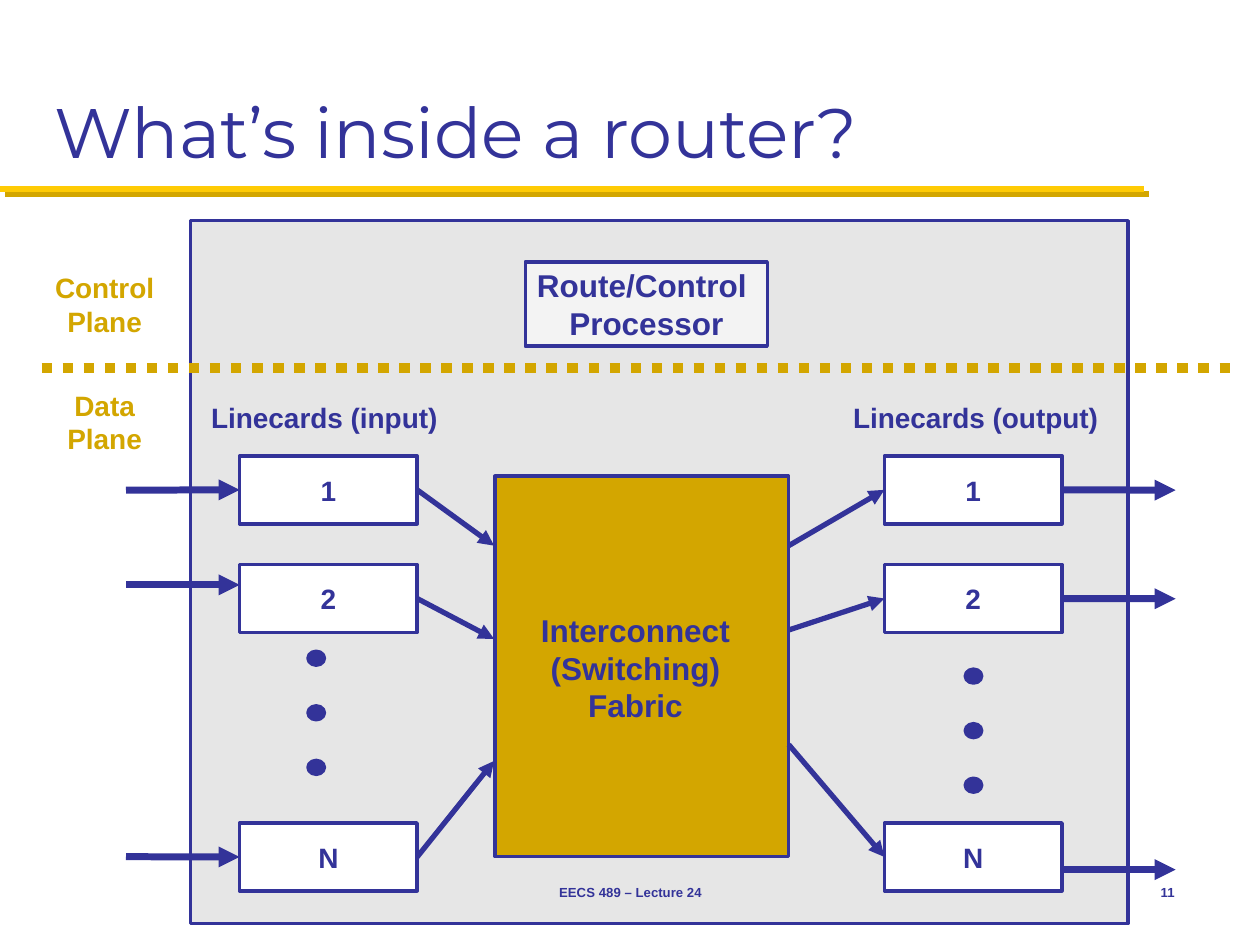
"""Build a slide that shows the parts inside a router."""
from dataclasses import dataclass
from typing import Optional

from lxml import etree
from pptx import Presentation
from pptx.dml.color import RGBColor
from pptx.enum.dml import MSO_LINE
from pptx.enum.shapes import MSO_CONNECTOR, MSO_SHAPE
from pptx.enum.text import MSO_ANCHOR, PP_ALIGN
from pptx.oxml.ns import qn
from pptx.shapes.autoshape import Shape
from pptx.slide import Slide
from pptx.util import Cm, Pt

RECT, OVAL = MSO_SHAPE.RECTANGLE, MSO_SHAPE.OVAL
STRAIGHT, DOTTED = MSO_CONNECTOR.STRAIGHT, MSO_LINE.ROUND_DOT
LEFT, CENTER, RIGHT = PP_ALIGN.LEFT, PP_ALIGN.CENTER, PP_ALIGN.RIGHT
TOP, MIDDLE, BOTTOM = MSO_ANCHOR.TOP, MSO_ANCHOR.MIDDLE, MSO_ANCHOR.BOTTOM
LEFT_SIDE, RIGHT_SIDE = 1, 3

COLORS = {
    "ink": "333399",
    "gold": "D3A600",
    "bright": "FFCB05",
    "panel": "E6E6E6",
    "pale": "F3F3F3",
    "white": "FFFFFF",
}


@dataclass
class Area:
    left: float
    top: float
    width: float
    height: float


@dataclass
class Style:
    size: float = 16
    color: str = "ink"
    font: str = "Arial"
    bold: bool = True
    align: PP_ALIGN = CENTER
    anchor: MSO_ANCHOR = MIDDLE
    wrap: bool = False


@dataclass
class Wire:
    x1: float
    y1: float
    x2: float
    y2: float
    width: float = 4
    color: str = "ink"
    arrow: bool = True
    dotted: bool = False
    shadow: bool = False
    start: Optional[Shape] = None
    end: Optional[Shape] = None


@dataclass
class Bank:
    left: float
    title: str
    title_left: float
    dot_left: float
    dot_top: float


def tint(name: str) -> RGBColor:
    """Return the named color."""
    return RGBColor.from_string(COLORS[name])


def write(shape: Shape, text: str, style: Style) -> None:
    """Fill a shape with styled text."""
    frame = shape.text_frame
    frame.text = text
    frame.word_wrap = style.wrap
    frame.vertical_anchor = style.anchor
    for line in frame.paragraphs:
        line.alignment = style.align
        line.font.size = Pt(style.size)
        line.font.name = style.font
        line.font.bold = style.bold
        line.font.color.rgb = tint(style.color)


def add_label(slide: Slide, area: Area, text: str, style: Style) -> None:
    """Add a text box."""
    box = slide.shapes.add_textbox(
        Cm(area.left), Cm(area.top), Cm(area.width), Cm(area.height))
    write(box, text, style)


def add_block(slide: Slide, area: Area, fill: str, kind: MSO_SHAPE = RECT) -> Shape:
    """Add a filled and outlined shape."""
    block = slide.shapes.add_shape(
        kind, Cm(area.left), Cm(area.top), Cm(area.width), Cm(area.height))
    block.shadow.inherit = False
    block.fill.solid()
    block.fill.fore_color.rgb = tint(fill)
    block.line.color.rgb = tint("ink")
    block.line.width = Pt(2)
    return block


def add_wire(slide: Slide, wire: Wire) -> None:
    """Add a line or arrow, joined to blocks where they are given."""
    link = slide.shapes.add_connector(
        STRAIGHT, Cm(wire.x1), Cm(wire.y1), Cm(wire.x2), Cm(wire.y2))
    link.line.color.rgb = tint(wire.color)
    link.line.width = Pt(wire.width)
    if wire.start is not None:
        link.begin_connect(wire.start, RIGHT_SIDE)
    if wire.end is not None:
        link.end_connect(wire.end, LEFT_SIDE)
    if wire.dotted:
        link.line.dash_style = DOTTED
    props = link._element.spPr
    if wire.arrow:
        etree.SubElement(props.find(qn("a:ln")), qn("a:tailEnd"), type="triangle")
    effects = etree.SubElement(props, qn("a:effectLst"))
    if wire.shadow:
        shade = etree.SubElement(
            effects, qn("a:outerShdw"), dist=str(Pt(4.2)), dir="2700000",
            algn="ctr", rotWithShape="0")
        etree.SubElement(shade, qn("a:srgbClr"), val=COLORS["gold"])


def add_bank(slide: Slide, bank: Bank) -> list[Shape]:
    """Add a column of linecards with its title and dots."""
    cards = []
    for text, top in (("1", 9.19), ("2", 11.38), ("N", 16.59)):
        card = add_block(slide, Area(bank.left, top, 3.58, 1.37), "white")
        write(card, text, Style())
        cards.append(card)
    add_label(slide, Area(bank.title_left, 7.95, 6.38, 0.94), bank.title,
              Style(anchor=TOP, wrap=True))
    for step in range(3):
        top = bank.dot_top + step * 1.1
        add_block(slide, Area(bank.dot_left, top, 0.33, 0.28), "ink", OVAL)
    return cards


def main() -> None:
    """Build and save the slide."""
    deck = Presentation()
    deck.slide_width, deck.slide_height = Cm(25.4), Cm(19.05)
    slide = deck.slides.add_slide(deck.slide_layouts[6])

    add_wire(slide, Wire(0, 3.81, 23.06, 3.81, 3.5, "bright", arrow=False, shadow=True))
    add_label(slide, Area(0.84, 0.43, 23.7, 3.17), "What’s inside a router?",
              Style(40, font="Montserrat", bold=False, align=LEFT, anchor=BOTTOM, wrap=True))

    add_block(slide, Area(3.84, 4.45, 18.9, 14.17), "panel")
    inputs = add_bank(slide, Bank(4.83, "Linecards (input)", 3.35, 6.21, 13.13))
    outputs = add_bank(slide, Bank(17.83, "Linecards (output)", 16.48, 19.46, 13.49))
    add_block(slide, Area(9.98, 9.6, 5.92, 7.67), "gold")
    add_label(slide, Area(10.64, 12.19, 4.34, 2.57), "Interconnect\v(Switching)\nFabric",
              Style(18, anchor=TOP))
    engine = add_block(slide, Area(10.59, 5.28, 4.88, 1.7), "pale")
    write(engine, "Route/Control \vProcessor", Style(18))

    middles = (9.88, 12.07, 17.27)
    feeds = (9.88, 11.79, 17.27)
    exits = (9.88, 12.07, 17.53)
    entries = (11, 12.88, 15.34)
    leaves = (11, 12.7, 15.01)
    for row, mid in enumerate(middles):
        source, target = inputs[row], outputs[row]
        add_wire(slide, Wire(2.54, feeds[row], 4.83, feeds[row],
                             end=source if feeds[row] == mid else None))
        add_wire(slide, Wire(8.41, mid, 9.96, entries[row], 3, start=source))
        add_wire(slide, Wire(15.9, leaves[row], 17.83, mid, 3, end=target))
        add_wire(slide, Wire(21.41, exits[row], 23.7, exits[row],
                             start=target if exits[row] == mid else None))

    add_wire(slide, Wire(0.84, 7.42, 24.97, 7.42, 6, "gold", arrow=False, dotted=True))
    for text, top in (("Control Plane", 5.33), ("Data Plane", 7.7)):
        add_label(slide, Area(0.84, top, 2.54, 1.63), text,
                  Style(color="gold", anchor=TOP, wrap=True))
    add_label(slide, Area(8.69, 17.35, 8.04, 1.27), "EECS 489 – Lecture 24", Style(7.5))
    add_label(slide, Area(22.23, 17.35, 1.7, 1.27), "11", Style(7.5, align=RIGHT, wrap=True))

    deck.save("out.pptx")


if __name__ == "__main__":
    main()
